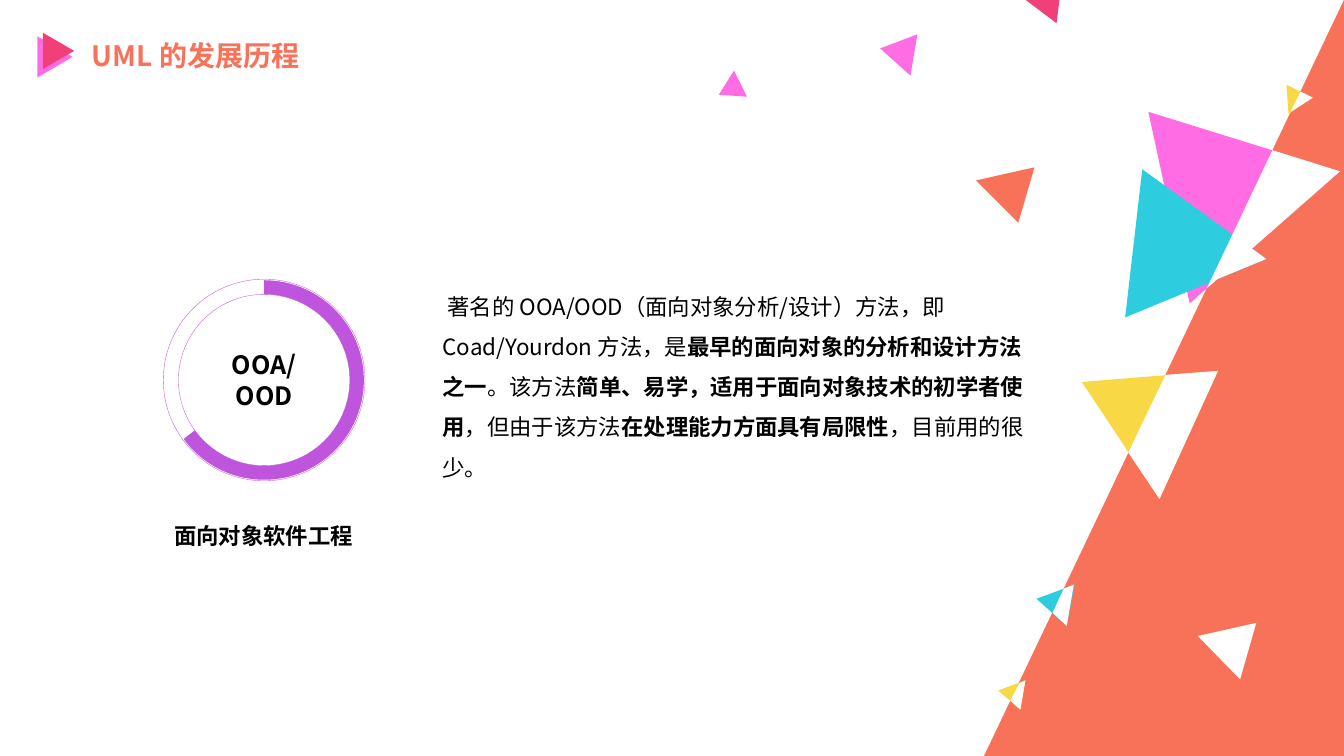
from lxml import etree
from pptx import Presentation
from pptx.dml.color import RGBColor
from pptx.enum import shapes, text
from pptx.oxml import ns
from pptx.util import Inches, Pt

COLORS = {
    "coral": "F77258", "pink": "FF6CE4", "red": "F04077", "cyan": "2DCCDF",
    "yellow": "F8D845", "purple": "BE55DC", "white": "FFFFFF", "black": "000000",
}
CJK = "Noto Sans CJK SC"
KIND = shapes.MSO_SHAPE


def paint(shape, fill=None, line_width=None):
    """Plain fill, or a purple outline when a line width is given."""
    shape.shadow.inherit = False
    if fill:
        shape.fill.solid()
        shape.fill.fore_color.rgb = RGBColor.from_string(COLORS[fill])
    else:
        shape.fill.background()
    if line_width:
        shape.line.color.rgb = RGBColor.from_string(COLORS["purple"])
        shape.line.width = Pt(line_width)
    else:
        shape.line.fill.background()


def style(run, size, bold, color="black", face=CJK):
    run.font.size = Pt(size)
    run.font.bold = bold
    run.font.color.rgb = RGBColor.from_string(COLORS[color])
    run.font.name = face
    east_asian = etree.SubElement(run.font._element, ns.qn("a:ea"))
    east_asian.set("typeface", face)


deck = Presentation()
deck.slide_width, deck.slide_height = Inches(13.33), Inches(7.5)
slide = deck.slides.add_slide(deck.slide_layouts[6])
canvas = slide.shapes

# Title with its double marker
title = canvas.add_textbox(Inches(0.81), Inches(0.33), Inches(2.71), Inches(0.44))
title.text_frame.word_wrap = True
title.text_frame.text = "UML 的发展历程"
style(title.text_frame.paragraphs[0].runs[0], 20, True, "coral")

for left, top, width, height, color in [
    (0.34, 0.39, 0.41, 0.35, "pink"),
    (0.40, 0.35, 0.36, 0.31, "red"),
]:
    marker = canvas.add_shape(KIND.ISOSCELES_TRIANGLE, Inches(left), Inches(top),
                              Inches(width), Inches(height))
    marker.rotation = 90
    paint(marker, color)

# Progress ring: outer circle, inner circle, thick arc, all on one centre
center_x, center_y = 2.62, 3.77
rings = []
for kind, diameter, line_width in [
    (KIND.OVAL, 2, 0.25), (KIND.OVAL, 1.7, 0.25), (KIND.ARC, 1.84, 10),
]:
    ring = canvas.add_shape(kind, Inches(center_x - diameter / 2), Inches(center_y - diameter / 2),
                            Inches(diameter), Inches(diameter))
    paint(ring, line_width=line_width)
    rings.append(ring)
outer, inner, progress = rings
progress.adjustments[0] = 162
progress.adjustments[1] = 86.312

inner.text_frame.vertical_anchor = text.MSO_ANCHOR.MIDDLE
inner.text_frame.text = "OOA/\nOOD"
for paragraph in inner.text_frame.paragraphs:
    paragraph.alignment = text.PP_ALIGN.CENTER
    style(paragraph.runs[0], 18, True)

# Coral slope on the right
slope = canvas.add_shape(KIND.ISOSCELES_TRIANGLE, Inches(9.76), 0, Inches(3.57), Inches(7.5))
slope.adjustments[0] = 1
paint(slope, "coral")

# Confetti, with white pieces where it crosses the slope
confetti = [
    ("coral", [(10.26, 1.66), (10.1, 2.21), (9.68, 1.79)]),
    ("pink", [(11.8, 3.01), (11.39, 1.11), (13.29, 1.7)]),
    ("cyan", [(11.16, 3.15), (11.33, 1.68), (12.56, 2.57)]),
    ("cyan", [(10.28, 5.94), (10.66, 5.8), (10.58, 6.21)]),
    ("yellow", [(9.9, 6.85), (10.17, 6.75), (10.12, 7.04)]),
    ("yellow", [(10.73, 3.79), (12.08, 3.68), (11.5, 4.95)]),
    ("yellow", [(12.78, 1.13), (12.76, 0.84), (13.02, 0.97)]),
    ("pink", [(8.73, 0.48), (9.1, 0.34), (9.03, 0.75)]),
    ("red", [(10.48, 0.23), (10.16, -0.01), (10.53, -0.17)]),
    ("white", [(12.46, 6.18), (12.3, 6.74), (11.88, 6.31)]),
    ("white", [(12.62, 1.49), (13.29, 1.7), (11.97, 2.86)]),
    ("white", [(12.23, 2.33), (12.56, 2.57), (12, 2.8)]),
    ("white", [(10.65, 5.8), (10.58, 6.21), (10.44, 6.08), (10.55, 5.84)]),
    ("white", [(10.17, 6.75), (10.12, 7.04), (10.02, 6.95), (10.11, 6.78)]),
    ("white", [(12.08, 3.68), (11.5, 4.95), (11.19, 4.49), (11.56, 3.72)]),
    ("white", [(12.9, 0.91), (13.02, 0.97), (12.8, 1.11)]),
    ("pink", [(7.13, 0.94), (7.28, 0.7), (7.41, 0.96)]),
]
for color, corners in confetti:
    points = [(Inches(x), Inches(y)) for x, y in corners]
    outline = canvas.build_freeform(*points[0])
    outline.add_line_segments(points[1:], close=True)
    paint(outline.convert_to_shape(), color)

# Ring caption and description: (place, alignment, font, runs with their weight)
passages = [
    ((1.02, 5.05, 3.19, 0.36), text.PP_ALIGN.CENTER, "Arial", [("面向对象软件工程", True)]),
    ((4.39, 2.77, 5.78, 2.02), text.PP_ALIGN.LEFT, CJK, [
        (" 著名的 OOA/OOD（面向对象分析/设计）方法，即 Coad/Yourdon 方法，是", False),
        ("最早的面向对象的分析和设计方法之一", True),
        ("。该方法", False),
        ("简单、易学，适用于面向对象技术的初学者使用", True),
        ("，但由于该方法", False),
        ("在处理能力方面具有局限性", True),
        ("，目前用的很少。", False),
    ]),
]
for place, alignment, face, pieces in passages:
    frame = canvas.add_textbox(*[Inches(length) for length in place]).text_frame
    frame.word_wrap = True
    frame.margin_left = frame.margin_right = frame.margin_top = frame.margin_bottom = 0
    paragraph = frame.paragraphs[0]
    paragraph.alignment = alignment
    paragraph.line_spacing = 1.5
    for words, bold in pieces:
        run = paragraph.add_run()
        run.text = words
        style(run, 16, bold, face=face)

deck.save("out.pptx")
